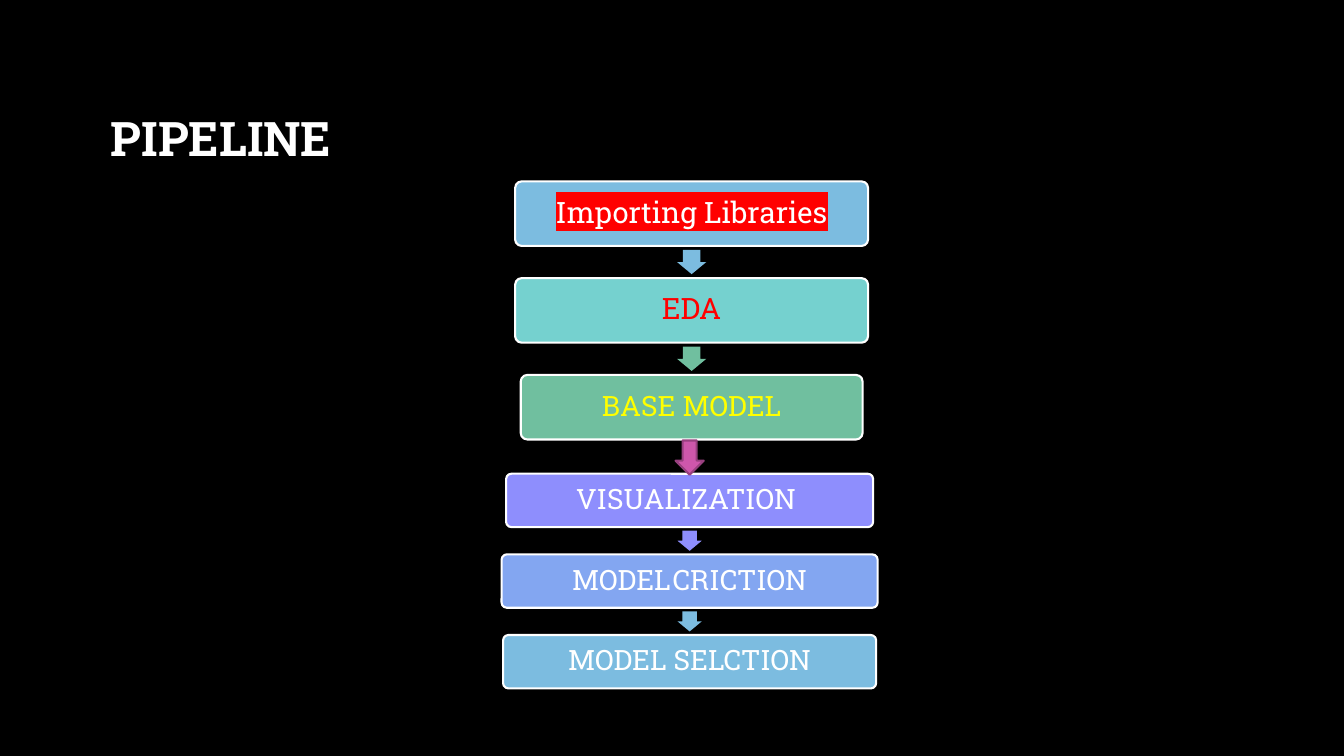
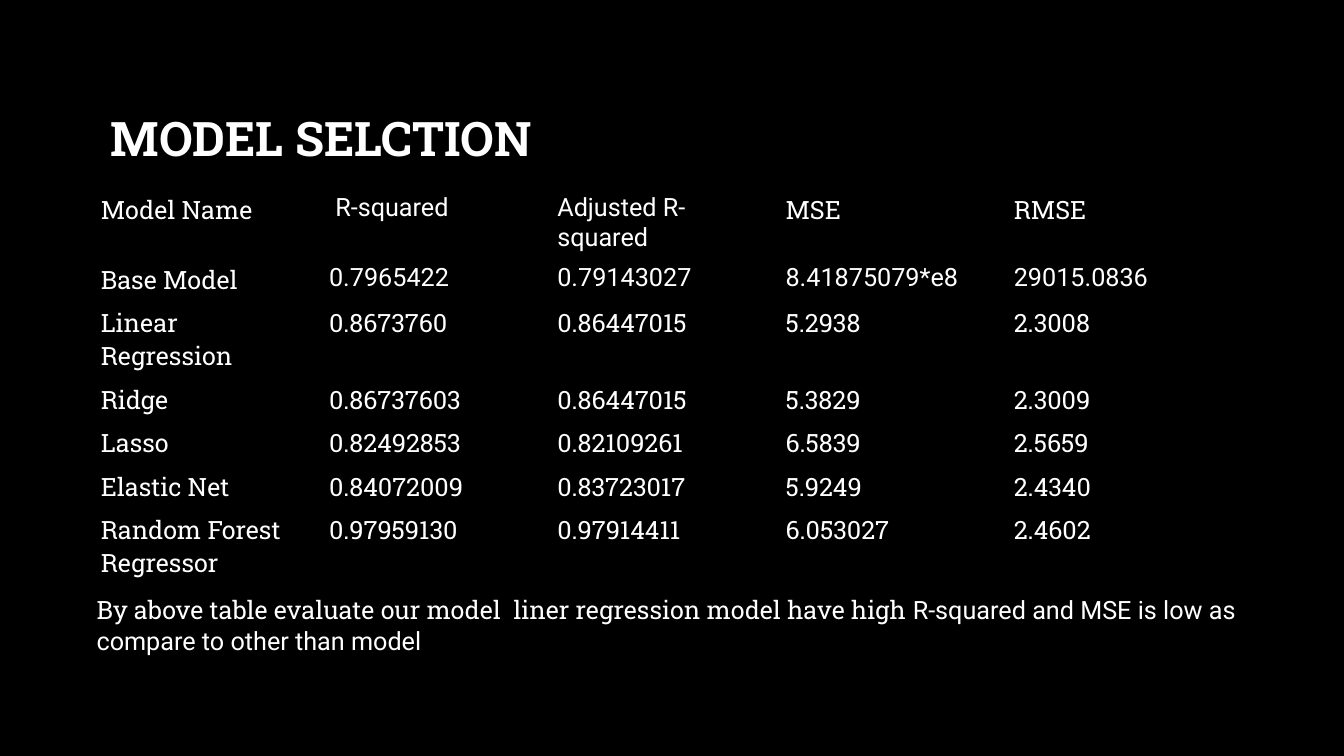
"""Build a two-slide deck: the modelling pipeline and the model comparison table."""
import dataclasses

import lxml.etree
import pptx
import pptx.dml.color
import pptx.enum.shapes
import pptx.enum.text
import pptx.oxml.ns
import pptx.util

Inches = pptx.util.Inches
Shapes = pptx.enum.shapes.MSO_SHAPE
Align = pptx.enum.text.PP_ALIGN
Anchor = pptx.enum.text.MSO_ANCHOR
AutoSize = pptx.enum.text.MSO_AUTO_SIZE


@dataclasses.dataclass(frozen=True)
class Theme:
    """Colours, fonts and type sizes shared by the slides."""
    black: str = "000000"
    white: str = "FFFFFF"
    red: str = "FF0000"
    yellow: str = "FFFF00"
    sky: str = "7CBCE0"
    aqua: str = "75D1CF"
    green: str = "70BF9F"
    violet: str = "8E8EFD"
    blue: str = "83A6F1"
    pink: str = "CE57AB"
    plum: str = "98407F"
    slab: str = "Roboto Slab"
    sans: str = "Roboto"
    title_size: int = 34
    large_size: int = 21
    step_size: int = 20
    body_size: int = 18
    tiny_size: int = 5
    line_width: float = 1.5
    line_spacing: float = 0.9


THEME = Theme()
NO_GRID_STYLE = "{2D5ABB26-0587-4C30-8999-92F81FD0307C}"


@dataclasses.dataclass(frozen=True)
class Step:
    """One box of the pipeline, with the fill of the arrow that follows it."""
    spans: tuple
    width: float
    fill: str
    arrow: str = ""
    size: int = THEME.step_size
    color: str = THEME.white
    highlight: str = ""


@dataclasses.dataclass(frozen=True)
class Chain:
    """A column of evenly spaced steps."""
    center: float
    top: float
    pitch: float
    height: float
    arrow_width: float
    arrow_height: float
    steps: tuple


CHAINS = (
    Chain(6.86, 1.8, 0.96, 0.64, 0.29, 0.24, (
        Step(("Importing Libraries",), 3.5, THEME.sky, THEME.sky, THEME.large_size,
             highlight=THEME.red),
        Step(("EDA",), 3.5, THEME.aqua, THEME.green, THEME.large_size, THEME.red),
        Step(("BASE MODEL",), 3.39, THEME.green, color=THEME.yellow),
    )),
    Chain(6.84, 4.7, 0.8, 0.53, 0.24, 0.2, (
        Step(("VISUALIZATION ",), 3.64, THEME.violet, THEME.violet),
        Step(("MODEL", " ", "CRICTION"), 3.73, THEME.blue, THEME.sky),
        Step(("MODEL SELCTION",), 3.7, THEME.sky),
    )),
)

MODEL_ROWS = (
    ("Model Name", " R-squared", "Adjusted R-squared", "MSE", "RMSE"),
    ("Base Model", "0.7965422", "0.79143027", "8.41875079*e8", "29015.0836"),
    ("Linear Regression", "0.8673760", "0.86447015", "5.2938", "2.3008"),
    ("Ridge", "0.86737603", "0.86447015", "5.3829", "2.3009"),
    ("Lasso", "0.82492853", "0.82109261", "6.5839", "2.5659"),
    ("Elastic Net", "0.84072009", "0.83723017", "5.9249", "2.4340"),
    ("Random Forest Regressor", "0.97959130", "0.97914411", "6.053027", "2.4602"),
)
SANS_CELLS = {(0, 1), (0, 2), (1, 1), (1, 2), (1, 3), (1, 4)}


def rgb(value):
    """Turn a hex string into a colour."""
    return pptx.dml.color.RGBColor.from_string(value)


def add_span(para, text, size, font=THEME.slab, color=THEME.white, bold=False, highlight=""):
    """Append one formatted run to a paragraph."""
    span = para.add_run()
    span.text = text
    span.font.size = pptx.util.Pt(size)
    span.font.bold = bold
    span.font.color.rgb = rgb(color)
    span.font.name = font
    if highlight:
        mark = lxml.etree.Element(pptx.oxml.ns.qn("a:highlight"))
        lxml.etree.SubElement(mark, pptx.oxml.ns.qn("a:srgbClr"), val=highlight)
        span.font.fill._xPr.find(pptx.oxml.ns.qn("a:solidFill")).addnext(mark)


def add_titled_slide(deck, text):
    """Add a title-only slide and format its title."""
    page = deck.slides.add_slide(deck.slide_layouts[5])
    title = page.shapes.title
    title.left, title.top, title.width, title.height = map(Inches, (1, 0.67, 11.32, 1.45))
    frame = title.text_frame
    frame.word_wrap = True
    frame.auto_size = AutoSize.NONE
    frame.vertical_anchor = Anchor.MIDDLE
    para = frame.paragraphs[0]
    para.alignment = Align.LEFT
    para.line_spacing = THEME.line_spacing
    add_span(para, text, THEME.title_size, bold=True)
    return page


def add_centered_shape(page, kind, center, top, width, height, fill, line=""):
    """Add a filled preset shape around a vertical centre line."""
    shape = page.shapes.add_shape(
        kind, Inches(center - width / 2), Inches(top), Inches(width), Inches(height))
    shape.shadow.inherit = False
    shape.fill.solid()
    shape.fill.fore_color.rgb = rgb(fill)
    if line:
        shape.line.color.rgb = rgb(line)
        shape.line.width = pptx.util.Pt(THEME.line_width)
    else:
        shape.line.fill.background()
    return shape


def add_step(page, chain, step, top):
    """Add one labelled rounded box."""
    box = add_centered_shape(page, Shapes.ROUNDED_RECTANGLE, chain.center, top,
                             step.width, chain.height, step.fill, THEME.white)
    box.adjustments[0] = 0.1
    frame = box.text_frame
    frame.word_wrap = True
    frame.vertical_anchor = Anchor.MIDDLE
    frame.margin_left = frame.margin_right = Inches(0.08)
    frame.margin_top = frame.margin_bottom = Inches(0.08)
    para = frame.paragraphs[0]
    para.alignment = Align.CENTER
    para.line_spacing = THEME.line_spacing
    for text in step.spans:
        size = step.size if text.strip() else THEME.tiny_size
        add_span(para, text, size, color=step.color, highlight=step.highlight)


def add_chain(page, chain):
    """Add a column of steps with an arrow in each gap."""
    gap = chain.pitch - chain.height
    for index, step in enumerate(chain.steps):
        top = chain.top + index * chain.pitch
        add_step(page, chain, step, top)
        if step.arrow:
            arrow_top = top + chain.height + (gap - chain.arrow_height) / 2
            arrow = add_centered_shape(page, Shapes.DOWN_ARROW, chain.center, arrow_top,
                                       chain.arrow_width, chain.arrow_height, step.arrow)
            arrow.adjustments[0] = 0.6


def add_model_table(page):
    """Add the table of model scores without grid or banding."""
    rows, columns = len(MODEL_ROWS), len(MODEL_ROWS[0])
    table = page.shapes.add_table(rows, columns, Inches(0.9), Inches(1.87),
                                  Inches(11.32), Inches(0.41 * rows)).table
    table.first_row = table.horz_banding = False
    table._tbl.tblPr.find(pptx.oxml.ns.qn("a:tableStyleId")).text = NO_GRID_STYLE
    for row, values in enumerate(MODEL_ROWS):
        for column, value in enumerate(values):
            cell = table.cell(row, column)
            cell.fill.background()
            font = THEME.sans if (row, column) in SANS_CELLS else THEME.slab
            add_span(cell.text_frame.paragraphs[0], value, THEME.body_size, font)


def add_conclusion(page):
    """Add the closing remark below the table."""
    box = page.shapes.add_textbox(Inches(0.86), Inches(5.85), Inches(11.6), Inches(0.71))
    box.text_frame.word_wrap = True
    box.text_frame.auto_size = AutoSize.SHAPE_TO_FIT_TEXT
    para = box.text_frame.paragraphs[0]
    add_span(para, "By above table evaluate our model  liner regression model have high ",
             THEME.body_size)
    add_span(para, "R-squared and MSE is low as compare to other than model",
             THEME.body_size, THEME.sans)


def main():
    """Build and save the deck."""
    deck = pptx.Presentation()
    deck.slide_width, deck.slide_height = Inches(13.33), Inches(7.5)
    background = deck.slide_master.background.fill
    background.solid()
    background.fore_color.rgb = rgb(THEME.black)

    pipeline = add_titled_slide(deck, "PIPELINE")
    for chain in CHAINS:
        add_chain(pipeline, chain)
    add_centered_shape(pipeline, Shapes.DOWN_ARROW, 6.84, 4.37, 0.28, 0.34,
                       THEME.pink, THEME.plum)

    selection = add_titled_slide(deck, "MODEL SELCTION")
    add_model_table(selection)
    add_conclusion(selection)
    deck.save("out.pptx")


if __name__ == "__main__":
    main()
